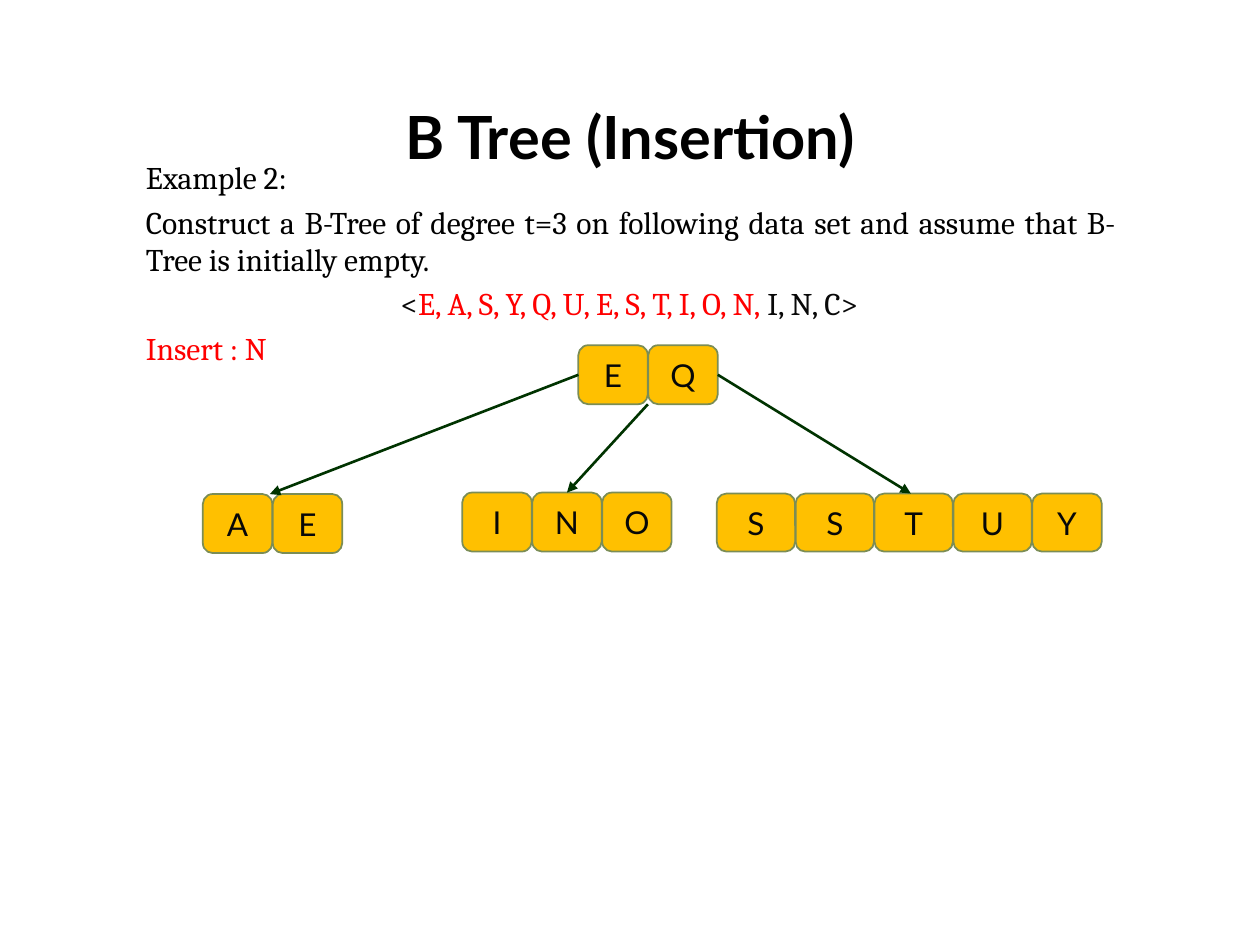
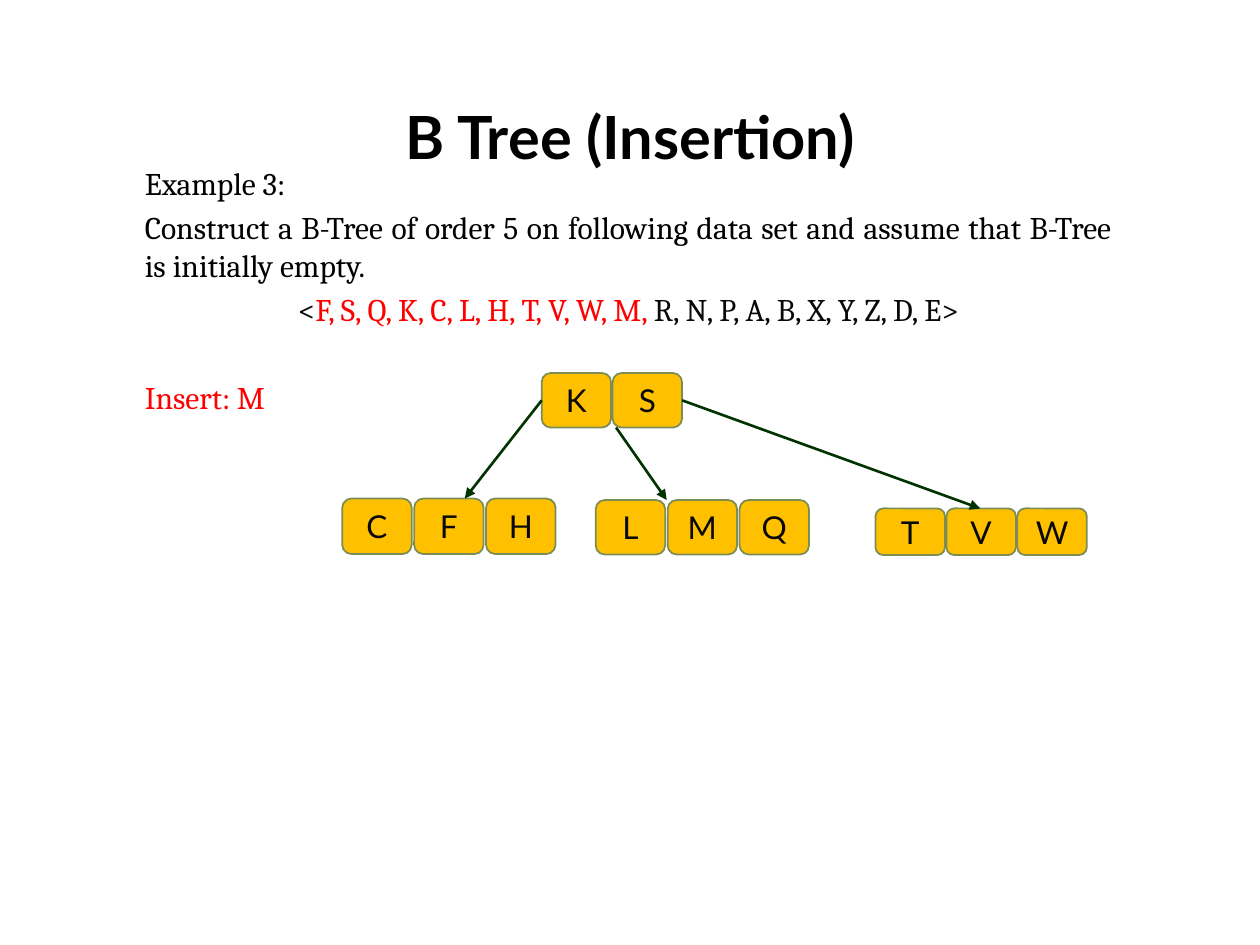
from dataclasses import dataclass

from lxml.etree import SubElement
from pptx import Presentation
from pptx.dml.color import RGBColor
from pptx.enum.shapes import MSO_CONNECTOR, MSO_SHAPE
from pptx.enum.text import MSO_ANCHOR, MSO_AUTO_SIZE, PP_ALIGN
from pptx.oxml.ns import qn
from pptx.util import Cm, Pt


@dataclass(frozen=True)
class Theme:
    black: RGBColor = RGBColor(0x00, 0x00, 0x00)
    ink: RGBColor = RGBColor(0x08, 0x08, 0x08)
    highlight: RGBColor = RGBColor(0xFF, 0x00, 0x00)
    key_fill: RGBColor = RGBColor(0xFF, 0xC0, 0x00)
    key_line: RGBColor = RGBColor(0x7B, 0x8D, 0x55)
    arrow: RGBColor = RGBColor(0x00, 0x33, 0x00)
    heading_font: str = "Lato"
    body_font: str = "Cambria"
    title_size: Pt = Pt(34)
    text_size: Pt = Pt(18)
    paragraph_gap: Pt = Pt(3.6)


THEME = Theme()


@dataclass(frozen=True)
class Node:
    """A B-tree node: adjoining keys; lengths in centimetres."""
    keys: str
    left: float
    top: float
    height: float
    gap: float = 0.01
    key_width: float = 1.4
    last_width: float = 1.4
    arrow_x: float = 0

    def key_left(self, index):
        return self.left + index * (self.key_width + self.gap)

    @property
    def right(self):
        return self.key_left(len(self.keys) - 1) + self.last_width

    @property
    def middle(self):
        return self.top + self.height / 2


TITLE = "B Tree (Insertion)"
EXAMPLES = [
    {
        "heading": "Example 2:",
        "task": "Construct a B-Tree of degree t=3 on following data set "
                "and assume that B-Tree is initially empty.",
        "inserted": "E, A, S, Y, Q, U, E, S, T, I, O, N,",
        "remaining": " I, N, C>",
        "step": "Insert : N",
        "step_gap": THEME.paragraph_gap,
        "text_at": (2.69, 3.07),
        "root": Node("EQ", 11.66, 6.96, 1.19),
        "middle_arrow_x": 13.06,
        "children": [
            Node("AE", 4.09, 9.96, 1.19, arrow_x=5.44),
            Node("INO", 9.32, 9.93, 1.19, arrow_x=11.43),
            Node("SSTUY", 14.45, 9.95, 1.17, key_width=1.58, arrow_x=18.36),
        ],
    },
    {
        "heading": "Example 3:",
        "task": "Construct a B-Tree of order 5 on following data set "
                "and assume that B-Tree is initially empty.",
        "inserted": "F, S, Q, K, C, L, H, T, V, W, M, ",
        "remaining": "R, N, P, A, B, X, Y, Z, D, E>",
        "step": "Insert: M",
        "step_gap": Pt(28.7),
        "text_at": (2.67, 3.18),
        "root": Node("KS", 10.92, 7.52, 1.1, gap=0.03),
        "middle_arrow_x": 12.42,
        "children": [
            Node("CFH", 6.9, 10.05, 1.12, gap=0.05, arrow_x=9.37),
            Node("LMQ", 12.01, 10.08, 1.1, gap=0.05, arrow_x=13.44),
            Node("TVW", 17.65, 10.25, 0.94, gap=0.03, arrow_x=19.76),
        ],
    },
]


def set_font(font, name, size, color, bold=False):
    font.name, font.size, font.bold = name, size, bold
    font.color.rgb = color


def add_title(slide):
    title = slide.shapes.title
    title.left, title.top, title.width, title.height = (
        Cm(1.27), Cm(1.73), Cm(22.86), Cm(2))
    frame = title.text_frame
    frame.text = TITLE
    frame.auto_size = MSO_AUTO_SIZE.NONE
    frame.vertical_anchor = MSO_ANCHOR.MIDDLE
    paragraph = frame.paragraphs[0]
    paragraph.alignment = PP_ALIGN.CENTER
    set_font(paragraph.font, THEME.heading_font, THEME.title_size, THEME.black, True)


def add_exercise(slide, example):
    left, top = example["text_at"]
    frame = slide.shapes.add_textbox(Cm(left), Cm(top), Cm(20), Cm(12.88)).text_frame
    frame.word_wrap = True
    data_set = [("<", THEME.ink), (example["inserted"], THEME.highlight),
                (example["remaining"], THEME.ink)]
    lines = [
        ([(example["heading"], THEME.black)], PP_ALIGN.JUSTIFY, Pt(0)),
        ([(example["task"], THEME.black)], PP_ALIGN.JUSTIFY, THEME.paragraph_gap),
        (data_set, PP_ALIGN.CENTER, THEME.paragraph_gap),
        ([(example["step"], THEME.highlight)], PP_ALIGN.LEFT, example["step_gap"]),
    ]
    for index, (runs, alignment, gap) in enumerate(lines):
        paragraph = frame.add_paragraph() if index else frame.paragraphs[0]
        paragraph.alignment = alignment
        paragraph.space_before = gap
        set_font(paragraph.font, THEME.body_font, THEME.text_size, THEME.black)
        for text, color in runs:
            run = paragraph.add_run()
            run.text = text
            run.font.color.rgb = color


def add_node(slide, node):
    for index, key in enumerate(node.keys):
        is_last = index == len(node.keys) - 1
        width = node.last_width if is_last else node.key_width
        shape = slide.shapes.add_shape(
            MSO_SHAPE.ROUNDED_RECTANGLE, Cm(node.key_left(index)), Cm(node.top),
            Cm(width), Cm(node.height))
        shape.shadow.inherit = False
        shape.fill.solid()
        shape.fill.fore_color.rgb = THEME.key_fill
        shape.line.color.rgb = THEME.key_line
        shape.line.width = Pt(1)
        frame = shape.text_frame
        frame.margin_top = frame.margin_bottom = 0
        frame.vertical_anchor = MSO_ANCHOR.MIDDLE
        frame.text = key
        paragraph = frame.paragraphs[0]
        paragraph.alignment = PP_ALIGN.CENTER
        set_font(paragraph.font, THEME.heading_font, THEME.text_size, THEME.ink)


def add_arrow(slide, start, end):
    arrow = slide.shapes.add_connector(
        MSO_CONNECTOR.STRAIGHT, *(Cm(value) for value in (*start, *end)))
    arrow.line.color.rgb = THEME.arrow
    arrow.line.width = Pt(1.5)
    properties = arrow.line._get_or_add_ln()
    SubElement(properties, qn("a:tailEnd"), type="triangle")
    SubElement(arrow._element.spPr, qn("a:effectLst"))


def add_tree(slide, example):
    root = example["root"]
    starts = [
        (root.left, root.middle),
        (example["middle_arrow_x"], root.top + root.height),
        (root.right, root.middle),
    ]
    add_node(slide, root)
    for start, child in zip(starts, example["children"]):
        add_node(slide, child)
        add_arrow(slide, start, (child.arrow_x, child.top))


def main():
    presentation = Presentation()
    presentation.slide_width, presentation.slide_height = Cm(25.4), Cm(19.05)
    title_only = presentation.slide_layouts[5]
    for example in EXAMPLES:
        slide = presentation.slides.add_slide(title_only)
        add_title(slide)
        add_exercise(slide, example)
        add_tree(slide, example)
    presentation.save("out.pptx")


if __name__ == "__main__":
    main()
